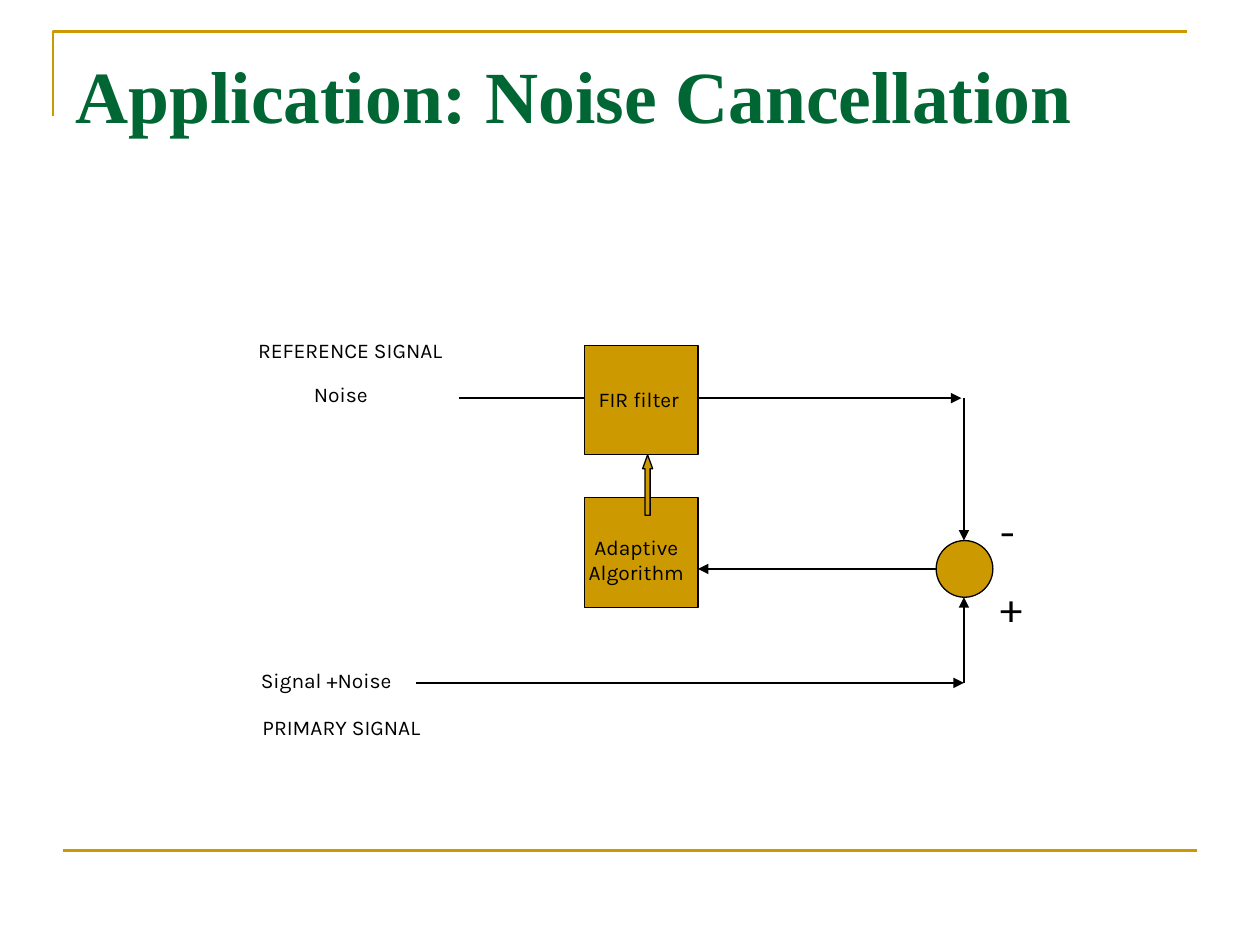
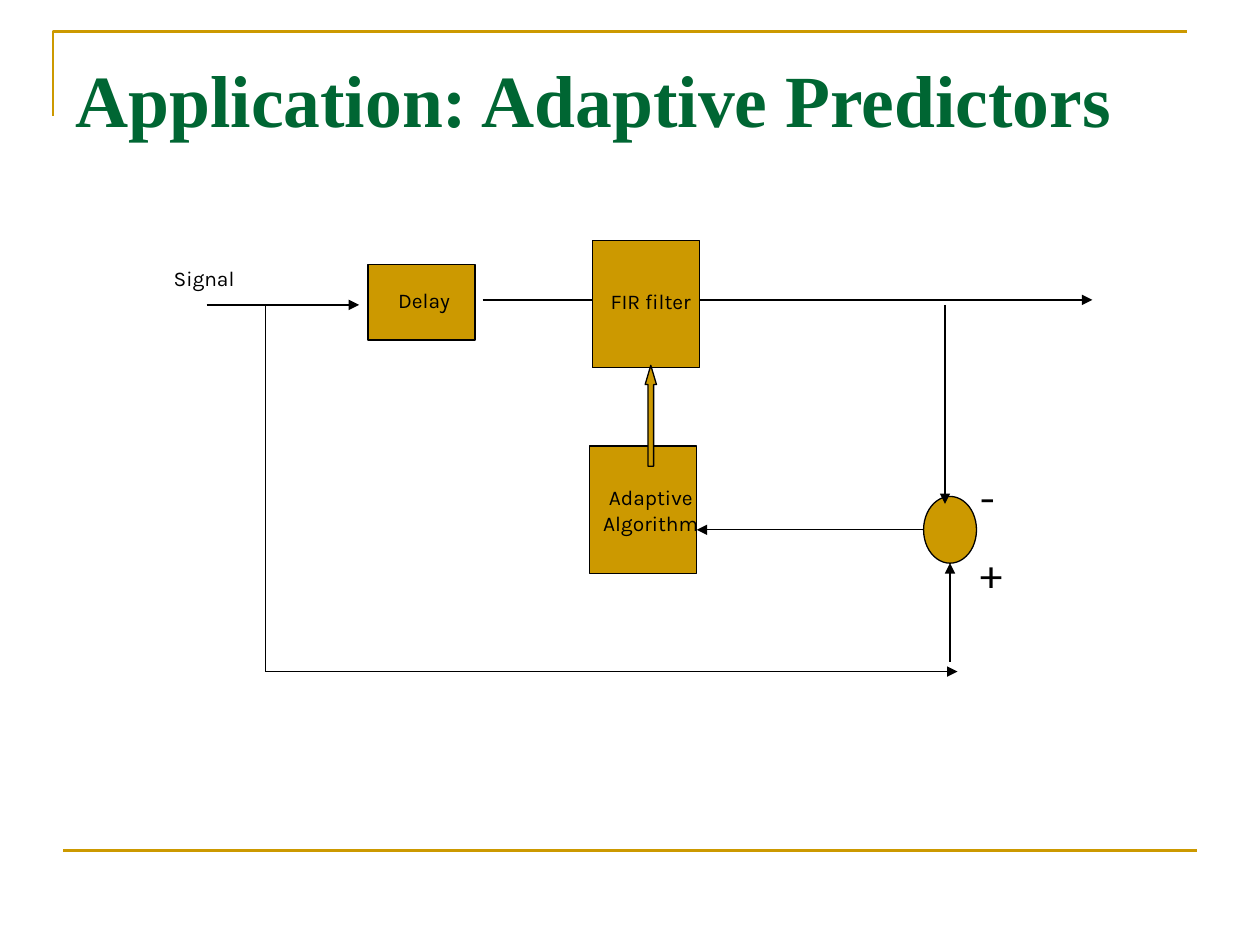
from dataclasses import dataclass

from lxml import etree
from pptx import Presentation
from pptx.dml.color import RGBColor
from pptx.enum.shapes import MSO_CONNECTOR, MSO_SHAPE
from pptx.enum.text import MSO_ANCHOR, MSO_AUTO_SIZE, PP_ALIGN
from pptx.oxml.ns import qn
from pptx.util import Inches, Pt

RECTANGLE, ELLIPSE, UP_ARROW = MSO_SHAPE.RECTANGLE, MSO_SHAPE.OVAL, MSO_SHAPE.UP_ARROW
STRAIGHT = MSO_CONNECTOR.STRAIGHT
LEFT, CENTER = PP_ALIGN.LEFT, PP_ALIGN.CENTER
TOP, NO_FIT = MSO_ANCHOR.TOP, MSO_AUTO_SIZE.NONE
TITLE_ONLY = 5


@dataclass(frozen=True)
class Theme:
    """Colours, fonts and sizes shared by the slides."""
    gold: RGBColor = RGBColor(0xCC, 0x99, 0x00)
    green: RGBColor = RGBColor(0x00, 0x66, 0x33)
    ink: RGBColor = RGBColor(0, 0, 0)
    title_font: str = "Times New Roman"
    label_font: str = "Karla"
    title_size: Pt = Pt(42)
    label_size: Pt = Pt(12)
    sign_size: Pt = Pt(24)
    sign_gap: Pt = Pt(14)
    rule: Pt = Pt(1.5)
    stroke: Pt = Pt(0.75)


THEME = Theme()


def add_run(paragraph, text, font, size, color, bold=False):
    """Append one formatted run."""
    run = paragraph.add_run()
    run.text = text
    run.font.name = font
    run.font.size = size
    run.font.bold = bold
    run.font.color.rgb = color


def add_line(shapes, start, end, color, width, arrow=False):
    """Draw a straight line, with an arrowhead at its end if asked."""
    line = shapes.add_connector(STRAIGHT, *map(Inches, (*start, *end)))
    line.line.color.rgb = color
    line.line.width = width
    properties = line.element.spPr
    if arrow:
        etree.SubElement(properties.find(qn("a:ln")), qn("a:tailEnd"), type="triangle")
    etree.SubElement(properties, qn("a:effectLst"))
    return line


@dataclass
class Diagram:
    """Draws signal-flow parts relative to the corner of its box."""
    shapes: object
    left: float
    top: float

    def point(self, x, y):
        """Return a slide position for a position in the box."""
        return self.left + x, self.top + y

    def place(self, box):
        """Return slide lengths for a rectangle in the box."""
        x, y, width, height = box
        return [Inches(length) for length in (*self.point(x, y), width, height)]

    def block(self, kind, box):
        """Draw a gold block with a thin black outline."""
        block = self.shapes.add_shape(kind, *self.place(box))
        block.shadow.inherit = False
        block.fill.solid()
        block.fill.fore_color.rgb = THEME.gold
        block.line.color.rgb = THEME.ink
        block.line.width = THEME.stroke
        return block

    def text(self, box, lines, size, align):
        """Write paragraphs in a wrapping text box."""
        frame = self.shapes.add_textbox(*self.place(box)).text_frame
        frame.word_wrap = True
        for index, line in enumerate(lines):
            paragraph = frame.add_paragraph() if index else frame.paragraphs[0]
            paragraph.alignment = align
            if index:
                paragraph.space_before = THEME.sign_gap
            add_run(paragraph, line, THEME.label_font, size, THEME.ink)

    def label(self, wording, box):
        """Write a centred label."""
        self.text(box, [wording], THEME.label_size, CENTER)

    def signal(self, start, end, arrow=True):
        """Draw a signal path."""
        add_line(self.shapes, self.point(*start), self.point(*end),
                 THEME.ink, THEME.stroke, arrow)

    def adaptive_loop(self, fir, algorithm, update, head, summer, signs, labels):
        """Draw the filter, its adaptive algorithm and the error feedback."""
        self.block(RECTANGLE, fir)
        self.block(RECTANGLE, algorithm)
        summer_x, summer_y, summer_width, summer_height = summer
        error_y = summer_y + summer_height / 2
        self.signal((summer_x + summer_width / 2, error_y),
                    (algorithm[0] + algorithm[2], error_y))
        self.block(UP_ARROW, update).adjustments[1] = head
        self.block(ELLIPSE, summer)
        self.text(signs, ["-", "+"], THEME.sign_size, LEFT)
        for wording, box in zip(("FIR filter", "Adaptive Algorithm"), labels):
            self.label(wording, box)


def add_master_rules(presentation, slide):
    """Put the corner rule and the bottom rule on the slide master."""
    builder = slide.shapes.build_freeform(Inches(0.42), Inches(0.92), scale=1.0)
    builder.add_line_segments([(Inches(0.42), Inches(0.25)),
                               (Inches(9.42), Inches(0.25))], close=False)
    corner = builder.convert_to_shape()
    corner.shadow.inherit = False
    corner.fill.background()
    corner.line.color.rgb = THEME.gold
    corner.line.width = THEME.rule
    bottom = add_line(slide.shapes, (0.5, 6.75), (9.5, 6.75), THEME.gold, THEME.rule)
    for rule in (corner, bottom):
        presentation.slide_master.shapes.element.append(rule.element)


def add_titled_slide(presentation, wording, top, width):
    """Add a slide with its title in the shared style."""
    slide = presentation.slides.add_slide(presentation.slide_layouts[TITLE_ONLY])
    title = slide.shapes.title
    title.left, title.top = Inches(0.5), Inches(top)
    title.width, title.height = Inches(width), Inches(1.25)
    frame = title.text_frame
    frame.vertical_anchor = TOP
    frame.auto_size = NO_FIT
    frame.word_wrap = True
    frame.paragraphs[0].alignment = LEFT
    add_run(frame.paragraphs[0], wording, THEME.title_font, THEME.title_size,
            THEME.green, bold=True)
    return slide


def draw_noise_cancellation(diagram):
    """Draw the noise canceller with its reference and primary signals."""
    sum_x, reference_y, primary_y = 6.25, 0.56, 2.82
    diagram.signal((2.24, reference_y), (6.23, reference_y))
    diagram.signal((1.9, primary_y), (sum_x, primary_y))
    diagram.signal((sum_x, primary_y), (sum_x, 2.14))
    diagram.signal((sum_x, reference_y), (sum_x, 1.69))
    diagram.adaptive_loop(
        fir=(3.24, 0.14, 0.9, 0.87), algorithm=(3.24, 1.35, 0.9, 0.87),
        update=(3.7, 1.01, 0.08, 0.48), head=1.381,
        summer=(6.03, 1.69, 0.45, 0.45), signs=(6.44, 1.36, 0.49, 1.38),
        labels=((2.39, 0.42, 2.56, 0.38), (2.99, 1.59, 1.32, 0.5)))
    diagram.label("REFERENCE SIGNAL", (0.1, 0.03, 2.56, 0.38))
    diagram.label("Noise", (0.52, 0.38, 1.57, 0.38))
    diagram.label("Signal +Noise", (0.06, 2.65, 2.26, 0.38))
    diagram.label("PRIMARY SIGNAL", (0.03, 3.02, 2.56, 0.38))


def draw_adaptive_predictor(diagram):
    """Draw the predictor, which filters a delayed copy of its signal."""
    branch_x, input_y, bypass_y = 1.21, 0.52, 3.43
    diagram.signal((branch_x, bypass_y), (6.7, bypass_y))
    diagram.signal((2.93, 0.48), (7.77, 0.48))
    diagram.signal((6.64, 3.35), (6.64, 2.57))
    diagram.adaptive_loop(
        fir=(3.8, 0.01, 0.85, 1.01), algorithm=(3.78, 1.64, 0.85, 1.01),
        update=(4.22, 1, 0.09, 0.8), head=1.691,
        summer=(6.43, 2.04, 0.42, 0.53), signs=(6.78, 1.79, 0.46, 1.6),
        labels=((3.05, 0.34, 2.43, 0.44), (3.58, 1.9, 1.37, 0.5)))
    diagram.signal((6.6, input_y), (6.6, 2.1))
    diagram.signal((0.74, input_y), (1.95, input_y))
    diagram.signal((branch_x, input_y), (branch_x, bypass_y), arrow=False)
    diagram.block(RECTANGLE, (2.02, 0.2, 0.85, 0.6))
    diagram.label("Delay", (1.72, 0.33, 1.49, 0.44))
    diagram.label("Signal", (0.02, 0.16, 1.4, 0.44))


def main():
    """Build and save the two slides."""
    presentation = Presentation()
    presentation.slide_width, presentation.slide_height = Inches(10), Inches(7.5)
    canceller = add_titled_slide(presentation, "Application: Noise Cancellation", 0.35, 9.17)
    add_master_rules(presentation, canceller)
    draw_noise_cancellation(Diagram(canceller.shapes, 1.4, 2.6))
    predictor = add_titled_slide(presentation, "Application: Adaptive Predictors", 0.38, 8.52)
    draw_adaptive_predictor(Diagram(predictor.shapes, 0.9, 1.9))
    presentation.save("out.pptx")


main()
